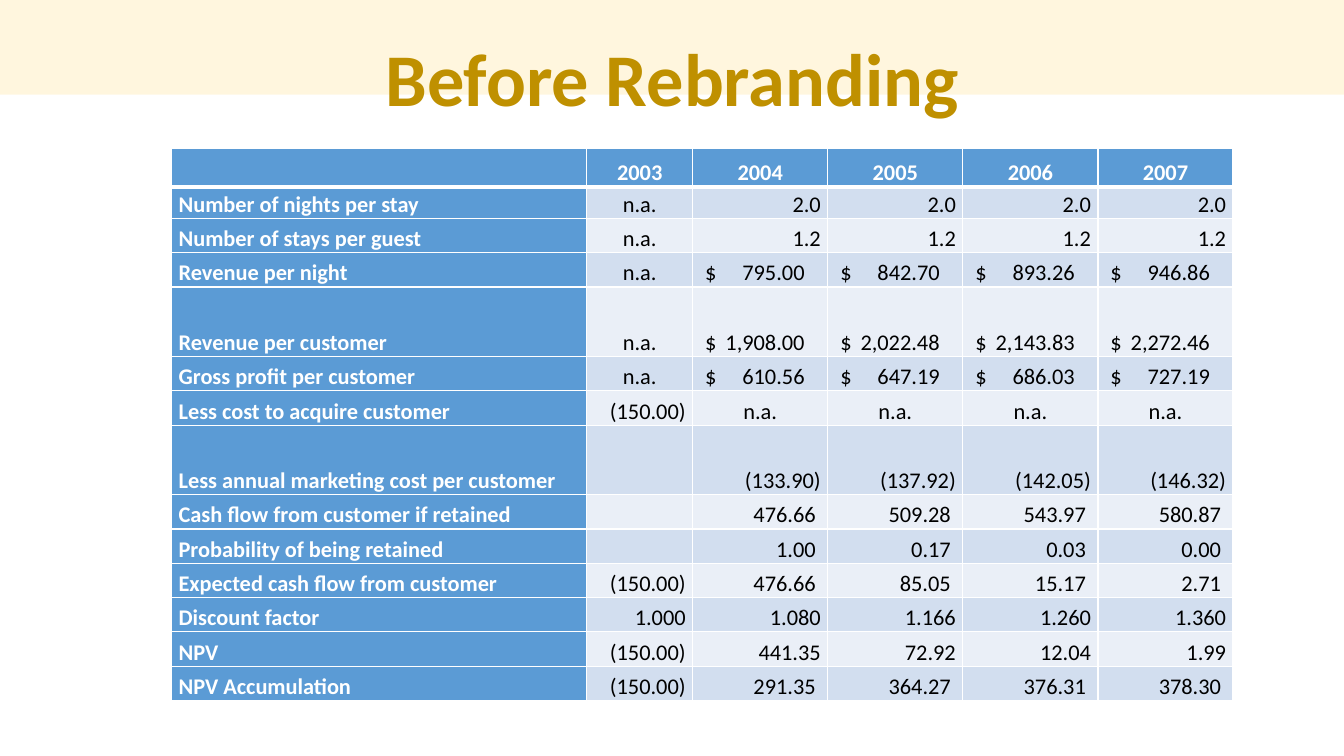
from dataclasses import dataclass

from lxml.etree import SubElement
from pptx import Presentation
from pptx.dml.color import RGBColor as Color
from pptx.enum.shapes import MSO_SHAPE as Preset
from pptx.enum.text import MSO_ANCHOR as Anchor, MSO_AUTO_SIZE as AutoSize, PP_ALIGN as Align
from pptx.oxml.ns import qn
from pptx.util import Pt


@dataclass(frozen=True)
class Theme:
    font: str = "Calibri"
    title_size: float = 53.1
    cell_size: float = 16
    title: str = "BF9000"
    banner: str = "FFD966"
    banner_alpha: int = 21
    heading: str = "5B9BD5"
    bands: tuple[str, str] = ("D2DEEF", "EAEFF7")
    light: str = "FFFFFF"
    dark: str = "000000"


@dataclass(frozen=True)
class Row:
    label: str
    values: tuple[str, ...]
    height: float = 24.5


THEME = Theme()
NONE = "n.a."
COST = "(150.00)"
COLUMN_WIDTHS = (296.6, 75.6) + (96.5,) * 4
THIN, THICK = 1, 3
TALL = 49.7
ROWS = (
    Row("", ("2003", "2004", "2005", "2006", "2007"), 27.4),
    Row("Number of nights per stay", (NONE,) + ("2.0",) * 4, 20.9),
    Row("Number of stays per guest", (NONE,) + ("1.2",) * 4),
    Row("Revenue per night", (NONE, "$\t795.00", "$\t842.70", "$\t893.26", "$\t946.86")),
    Row("Revenue per customer",
        (NONE, "$\t1,908.00", "$\t2,022.48", "$\t2,143.83", "$\t2,272.46"), TALL),
    Row("Gross profit per customer", (NONE, "$\t610.56", "$\t647.19", "$\t686.03", "$\t727.19")),
    Row("Less cost to acquire customer", (COST,) + (NONE,) * 4),
    Row("Less annual marketing cost per customer",
        ("", "(133.90)", "(137.92)", "(142.05)", "(146.32)"), TALL),
    Row("Cash flow from customer if retained", ("", "476.66 ", "509.28 ", "543.97 ", "580.87 ")),
    Row("Probability of being retained", ("", "1.00 ", "0.17 ", "0.03 ", "0.00 ")),
    Row("Expected cash flow from customer", (COST, "476.66 ", "85.05 ", "15.17 ", "2.71 ")),
    Row("Discount factor", ("1.000", "1.080", "1.166", "1.260", "1.360")),
    Row("NPV", (COST, "441.35", "72.92", "12.04", "1.99")),
    Row("NPV Accumulation", (COST, "291.35 ", "364.27 ", "376.31 ", "378.30 ")),
)


def apply(target, values: dict) -> None:
    for name, value in values.items():
        setattr(target, name, value)


def write(para, text: str, size: float, color: str, bold: bool) -> None:
    span = para.add_run()
    span.text = text
    apply(span.font, {"name": THEME.font, "size": Pt(size), "bold": bold})
    span.font.color.rgb = Color.from_string(color)


def add_banner(page) -> None:
    banner = page.shapes.add_shape(Preset.RECTANGLE, 0, 0, Pt(960), Pt(67.7))
    banner.shadow.inherit = False
    banner.line.fill.background()
    banner.fill.solid()
    banner.fill.fore_color.rgb = Color.from_string(THEME.banner)
    color = banner.fill._xPr.find(f".//{qn('a:srgbClr')}")
    SubElement(color, qn("a:alpha"), val=str(THEME.banner_alpha * 1000))
    page.shapes._spTree.insert(2, banner._element)


def add_title(page, text: str) -> None:
    title = page.shapes.title
    apply(title, {"left": Pt(66), "top": Pt(28.8), "width": Pt(828), "height": Pt(104.4)})
    apply(title.text_frame, {"word_wrap": True, "auto_size": AutoSize.NONE,
                             "vertical_anchor": Anchor.TOP, "margin_top": Pt(1.5)})
    para = title.text_frame.paragraphs[0]
    apply(para, {"alignment": Align.CENTER, "line_spacing": 0.9})
    write(para, text, THEME.title_size, THEME.title, True)


def set_borders(cell, widths: dict[str, float]) -> None:
    properties = cell._tc.get_or_add_tcPr()
    for index, (side, width) in enumerate(widths.items()):
        line = SubElement(properties, qn(f"a:ln{side}"), w=str(Pt(width)))
        fill = SubElement(line, qn("a:solidFill"))
        SubElement(fill, qn("a:srgbClr"), val=THEME.light)
        properties.insert(index, line)


def alignment(text: str, row: int, column: int) -> Align:
    if column == 0 or text.startswith("$"):
        return Align.LEFT
    return Align.CENTER if row == 0 or text == NONE else Align.RIGHT


def fill_cell(cell, text: str, row: int, column: int) -> None:
    heading = row == 0 or column == 0
    money = text.startswith("$")
    apply(cell, {"margin_left": Pt(9 if money else 5), "margin_right": Pt(5), "margin_top": 0,
                 "margin_bottom": 0, "vertical_anchor": Anchor.BOTTOM})
    cell.fill.solid()
    color = THEME.heading if heading else THEME.bands[(row - 1) % 2]
    cell.fill.fore_color.rgb = Color.from_string(color)
    set_borders(cell, {"L": THIN, "R": THIN, "T": THICK if row == 1 else THIN,
                       "B": THICK if row == 0 else THIN})
    para = cell.text_frame.paragraphs[0]
    apply(para, {"alignment": alignment(text, row, column), "line_spacing": 1.15})
    if money:
        stops = SubElement(para._p.get_or_add_pPr(), qn("a:tabLst"))
        SubElement(stops, qn("a:tab"), pos=str(Pt(71)), algn="r")
    if text:
        write(para, text, THEME.cell_size, THEME.light if heading else THEME.dark, heading)
    else:
        SubElement(para._p, qn("a:endParaRPr"), sz=str(THEME.cell_size * 100))


def add_cash_flows(page) -> None:
    frame = page.shapes.add_table(len(ROWS), len(COLUMN_WIDTHS), Pt(122.6), Pt(106.1),
                                  Pt(sum(COLUMN_WIDTHS)), Pt(sum(row.height for row in ROWS)))
    table = frame.table
    for column, width in zip(table.columns, COLUMN_WIDTHS):
        column.width = Pt(width)
    for row_index, row in enumerate(ROWS):
        table.rows[row_index].height = Pt(row.height)
        for column_index, text in enumerate((row.label, *row.values)):
            fill_cell(table.cell(row_index, column_index), text, row_index, column_index)


def main() -> None:
    deck = Presentation()
    apply(deck, {"slide_width": Pt(960), "slide_height": Pt(540)})
    page = deck.slides.add_slide(deck.slide_layouts[5])
    add_banner(page)
    add_title(page, "Before Rebranding")
    add_cash_flows(page)
    deck.save("out.pptx")


if __name__ == "__main__":
    main()
